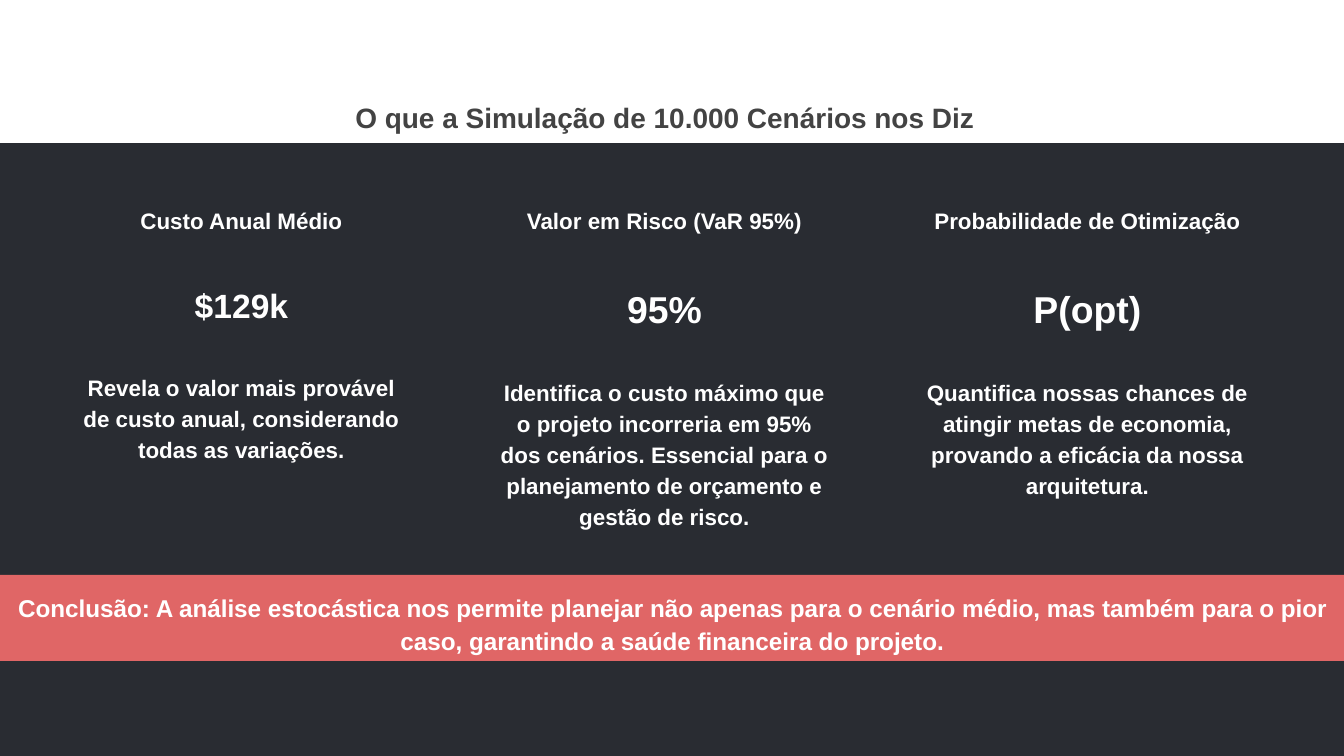
from pptx import Presentation
from pptx.dml.color import RGBColor
from pptx.enum.shapes import MSO_SHAPE
from pptx.enum.text import MSO_AUTO_SIZE, PP_ALIGN
from pptx.util import Pt

WIDTH, HEIGHT = 1344, 756
PX = 9144000 / WIDTH
COLORS = {"dark": "292C32", "white": "FFFFFF", "gray": "434343", "red": "E06666"}


def add_band(top, height, color):
    """Add a full-width stripe that bleeds slightly past both slide edges."""
    box = [round(v * PX) for v in (-4, top, WIDTH + 8, height)]
    sp = s.shapes.add_shape(MSO_SHAPE.RECTANGLE, *box)
    sp.shadow.inherit = False
    sp.fill.solid()
    sp.fill.fore_color.rgb = RGBColor.from_string(COLORS[color])
    sp.line.fill.background()


def add_text(left, top, width, height, lines, color="white"):
    """Add centred bold paragraphs from (text, size in points) pairs."""
    box = [round(v * PX) for v in (left, top, width, height)]
    tf = s.shapes.add_textbox(*box).text_frame
    tf.word_wrap = True
    tf.auto_size = MSO_AUTO_SIZE.SHAPE_TO_FIT_TEXT
    tf.margin_left = tf.margin_right = tf.margin_top = tf.margin_bottom = Pt(7.2)
    for i, (text, size) in enumerate(lines):
        p = tf.add_paragraph() if i else tf.paragraphs[0]
        p.text = text
        p.alignment = PP_ALIGN.CENTER
        p.line_spacing = 1.15
        if i:
            p.space_before = Pt(24)
        p.font.name = "Arial"
        p.font.size = Pt(size)
        p.font.bold = True
        p.font.color.rgb = RGBColor.from_string(COLORS[color])
    p.space_after = Pt(6)


prs = Presentation()
prs.slide_width = round(WIDTH * PX)
prs.slide_height = round(HEIGHT * PX)
s = prs.slides.add_slide(prs.slide_layouts[6])
s.background.fill.solid()
s.background.fill.fore_color.rgb = RGBColor.from_string(COLORS["dark"])

# Header
add_band(0, 143, "white")
add_text(-7, 82, WIDTH, 60, [("O que a Simulação de 10.000 Cenários nos Diz", 15)], "gray")

# Three metric columns
metrics = [
    ("Custo Anual Médio", "$129k", 18, 285,
     "Revela o valor mais provável de custo anual, considerando todas as variações."),
    ("Valor em Risco (VaR 95%)", "95%", 20, 353,
     "Identifica o custo máximo que o projeto incorreria em 95% dos cenários. "
     "Essencial para o planejamento de orçamento e gestão de risco."),
    ("Probabilidade de Otimização", "P(opt)", 20, 321,
     "Quantifica nossas chances de atingir metas de economia, "
     "provando a eficácia da nossa arquitetura."),
]
for col, (heading, value, value_size, height, detail) in enumerate(metrics):
    lines = [(heading, 12), (value, value_size), (detail, 12)]
    add_text(60 + col * 423, 190, 363, height, lines)

# Conclusion
add_band(575, 86, "red")
add_text(0, 575, WIDTH, 90, [(
    "Conclusão: A análise estocástica nos permite planejar não apenas para o cenário médio, "
    "mas também para o pior caso, garantindo a saúde financeira do projeto.", 13)])

prs.save("out.pptx")
